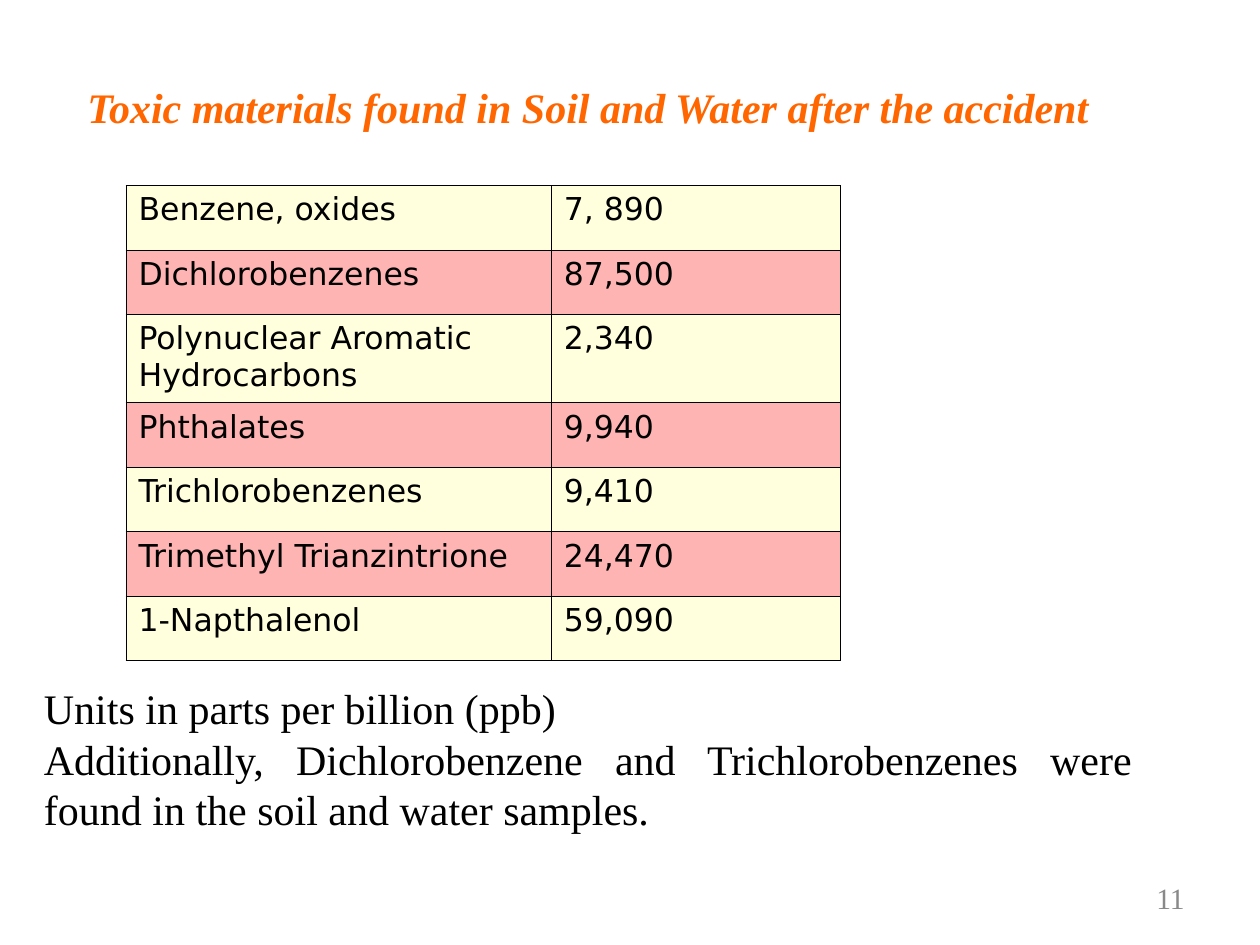
"""Build the slide on toxic materials found after the accident."""
from lxml.etree import SubElement
from pptx import Presentation
from pptx.dml.color import RGBColor
from pptx.enum.text import MSO_ANCHOR, MSO_AUTO_SIZE, PP_ALIGN
from pptx.oxml.ns import qn
from pptx.util import Pt

SERIF = "Times New Roman"
SANS = "DejaVu Sans"
BLACK = "000000"
ORANGE = "FF6600"
GREY = "898989"
BANDS = ("FFFFDD", "FFB4B4")

MATERIALS = [
    ("Benzene, oxides", "7, 890"),
    ("Dichlorobenzenes", "87,500"),
    ("Polynuclear Aromatic Hydrocarbons", "2,340"),
    ("Phthalates", "9,940"),
    ("Trichlorobenzenes", "9,410"),
    ("Trimethyl Trianzintrione", "24,470"),
    ("1-Napthalenol", "59,090"),
]
REMARKS = [
    "Units in parts per billion (ppb)",
    "Additionally, Dichlorobenzene and Trichlorobenzenes were "
    "found in the soil and water samples.",
]


def color(code):
    return RGBColor.from_string(code)


class Page:
    """Holds the current slide and draws each kind of element on it."""

    def __init__(self, slide):
        self.slide = slide

    def add_words(self, paragraph, words, size, ink=BLACK, face=SERIF, align=None, strong=False):
        paragraph.alignment = align
        run = paragraph.add_run()
        run.text = words
        font = run.font
        font.name, font.size = face, Pt(size)
        font.bold = font.italic = strong
        font.color.rgb = color(ink)

    def title(self, words, left, top, width, height):
        heading = self.slide.shapes.title
        heading.left, heading.top = Pt(left), Pt(top)
        heading.width, heading.height = Pt(width), Pt(height)
        frame = heading.text_frame
        frame.vertical_anchor = MSO_ANCHOR.MIDDLE
        self.add_words(frame.paragraphs[0], words, 24, ORANGE, align=PP_ALIGN.CENTER, strong=True)

    def text(self, lines, left, top, width, height, size, ink, align,
             anchor=MSO_ANCHOR.TOP, spacing=None, fit=MSO_AUTO_SIZE.NONE):
        frame = self.slide.shapes.add_textbox(
            Pt(left), Pt(top), Pt(width), Pt(height)).text_frame
        frame.word_wrap = True
        frame.auto_size = fit
        frame.vertical_anchor = anchor
        for index, line in enumerate(lines):
            paragraph = frame.add_paragraph() if index else frame.paragraphs[0]
            paragraph.line_spacing = spacing
            self.add_words(paragraph, line, size, ink, align=align)

    def borders(self, cell, weight):
        properties = cell._tc.get_or_add_tcPr()
        for side in "LRTB":
            edge = SubElement(properties, qn(f"a:ln{side}"), w=str(Pt(weight)))
            SubElement(SubElement(edge, qn("a:solidFill")), qn("a:srgbClr"), val=BLACK)

    def table(self, rows, left, top, widths, heights):
        grid = self.slide.shapes.add_table(
            len(rows), len(widths), Pt(left), Pt(top),
            Pt(sum(widths)), Pt(sum(heights))).table
        grid.first_row = grid.horz_banding = False
        for column, width in zip(grid.columns, widths):
            column.width = Pt(width)
        for index, (row, height) in enumerate(zip(grid.rows, heights)):
            row.height = Pt(height)
            for cell, words in zip(row.cells, rows[index]):
                self.borders(cell, 0.45)
                cell.fill.solid()
                cell.fill.fore_color.rgb = color(BANDS[index % 2])
                self.add_words(cell.text_frame.paragraphs[0], words, 18, face=SANS)


def main():
    deck = Presentation()
    deck.slide_width, deck.slide_height = Pt(720), Pt(540)
    page = Page(deck.slides.add_slide(deck.slide_layouts[5]))
    page.title("Toxic materials found in Soil and Water after the accident", 36, 16, 600, 90)
    heights = [50.6 if len(name) > 30 else 36.8 for name, amount in MATERIALS]
    page.table(MATERIALS, 72, 106, (243, 165), heights)
    page.text(REMARKS, 18, 386.6, 636, 94, 24, BLACK, PP_ALIGN.JUSTIFY,
              fit=MSO_AUTO_SIZE.SHAPE_TO_FIT_TEXT)
    page.text(["11"], 516, 500.4, 168, 28.8, 16.8, GREY, PP_ALIGN.RIGHT,
              anchor=MSO_ANCHOR.MIDDLE, spacing=0.8)
    deck.save("out.pptx")


if __name__ == "__main__":
    main()
